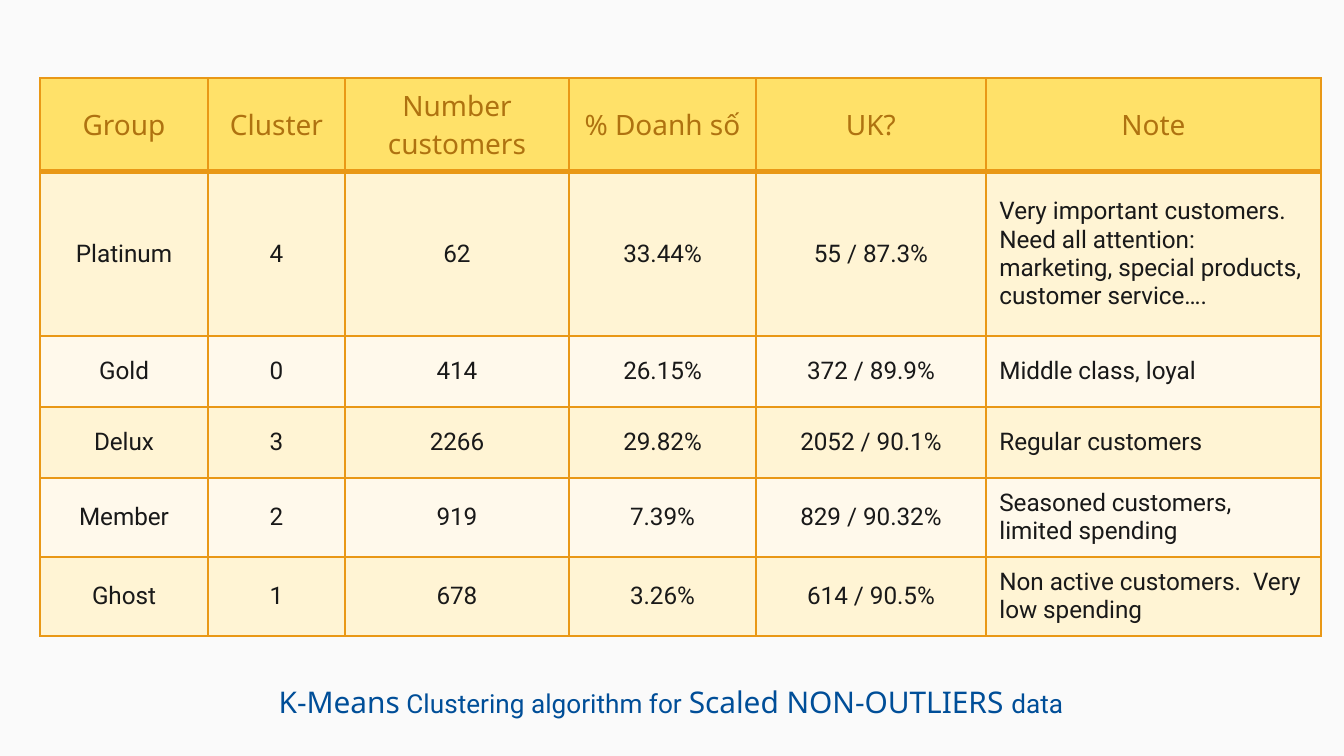
"""Build the slide with the table of customer clusters."""
import pptx
import pptx.dml.color
import pptx.enum.text
import pptx.oxml
import pptx.oxml.ns
import pptx.util

EMU_PER_PX = 914400 / 134.4
HEADING_FONT, BODY_FONT = "Noto Sans", "Roboto"
BORDER, HEADER_FILL, HEADER_TEXT = "E99816", "FFE169", "AF7210"
BAND_FILLS = ("FFF9EB", "FFF4D4")
BODY_TEXT, CAPTION_TEXT, BACKGROUND = "191919", "004E98", "FAFAFA"
CENTER = pptx.enum.text.PP_ALIGN.CENTER
LEFT = pptx.enum.text.PP_ALIGN.LEFT
MIDDLE = pptx.enum.text.MSO_ANCHOR.MIDDLE

COLUMN_WIDTHS = (168, 137, 224, 187, 230, 335)
ROW_HEIGHTS = (94, 164, 71, 71, 79, 79)
ROWS = (
    ("Group", "Cluster", "Number customers", "% Doanh số", "UK?", "Note"),
    ("Platinum", "4", "62", "33.44%", "55 / 87.3%",
     "Very important customers.  Need all attention: marketing, "
     "special products, customer service…."),
    ("Gold", "0", "414", "26.15%", "372 / 89.9%", "Middle class, loyal"),
    ("Delux", "3", "2266", "29.82%", "2052 / 90.1%", "Regular customers"),
    ("Member", "2", "919", "7.39%", "829 / 90.32%",
     "Seasoned customers, limited spending"),
    ("Ghost", "1", "678", "3.26%", "614 / 90.5%",
     "Non active customers.  Very low spending"),
)
CAPTION = (
    ("K-Means", HEADING_FONT, 16),
    (" Clustering algorithm for ", BODY_FONT, 14),
    ("Scaled NON-OUTLIERS ", HEADING_FONT, 16),
    ("data", BODY_FONT, 14),
)


def px(length):
    return pptx.util.Emu(round(length * EMU_PER_PX))


def color(value):
    return pptx.dml.color.RGBColor.from_string(value)


class SlideBuilder:
    def __init__(self, presentation):
        self.slide = presentation.slides.add_slide(presentation.slide_layouts[6])
        fill = self.slide.background.fill
        fill.solid()
        fill.fore_color.rgb = color(BACKGROUND)

    def add_run(self, paragraph, text, font, size, text_color):
        run = paragraph.add_run()
        run.text = text
        run.font.name = font
        run.font.size = pptx.util.Pt(size)
        run.font.color.rgb = color(text_color)

    def add_border(self, cell, side, width):
        namespace = pptx.oxml.ns.nsdecls("a")
        line = pptx.oxml.parse_xml(
            f'<a:ln{side} {namespace} w="{pptx.util.Pt(width)}"><a:solidFill>'
            f'<a:srgbClr val="{BORDER}"/></a:solidFill></a:ln{side}>')
        cell._tc.get_or_add_tcPr().append(line)

    def format_cell(self, cell, text, row, alignment):
        thick_side = {0: "B", 1: "T"}.get(row)
        for side in "LRTB":
            self.add_border(cell, side, 3 if side == thick_side else 1)
        cell.fill.solid()
        cell.fill.fore_color.rgb = color(HEADER_FILL if row == 0 else BAND_FILLS[row % 2])
        cell.vertical_anchor = MIDDLE
        paragraph = cell.text_frame.paragraphs[0]
        paragraph.alignment = alignment
        if row == 0:
            self.add_run(paragraph, text, HEADING_FONT, 15, HEADER_TEXT)
        else:
            self.add_run(paragraph, text, BODY_FONT, 13, BODY_TEXT)

    def add_table(self, left, top):
        table = self.slide.shapes.add_table(
            len(ROWS), len(COLUMN_WIDTHS), px(left), px(top),
            px(sum(COLUMN_WIDTHS)), px(sum(ROW_HEIGHTS))).table
        for column, width in zip(table.columns, COLUMN_WIDTHS):
            column.width = px(width)
        for table_row, height in zip(table.rows, ROW_HEIGHTS):
            table_row.height = px(height)
        note_column = len(COLUMN_WIDTHS) - 1
        for row, texts in enumerate(ROWS):
            for column, text in enumerate(texts):
                alignment = LEFT if row and column == note_column else CENTER
                self.format_cell(table.cell(row, column), text, row, alignment)

    def add_caption(self, left, top, width, height):
        shape = self.slide.shapes.add_textbox(px(left), px(top), px(width), px(height))
        shape.text_frame.word_wrap = True
        shape.text_frame.auto_size = pptx.enum.text.MSO_AUTO_SIZE.SHAPE_TO_FIT_TEXT
        paragraph = shape.text_frame.paragraphs[0]
        paragraph.alignment = CENTER
        for text, font, size in CAPTION:
            self.add_run(paragraph, text, font, size, CAPTION_TEXT)


def main():
    presentation = pptx.Presentation()
    presentation.slide_width, presentation.slide_height = px(1344), px(756)
    builder = SlideBuilder(presentation)
    builder.add_table(40, 78)
    builder.add_caption(204, 677, 934, 50)
    presentation.save("out.pptx")


if __name__ == "__main__":
    main()
